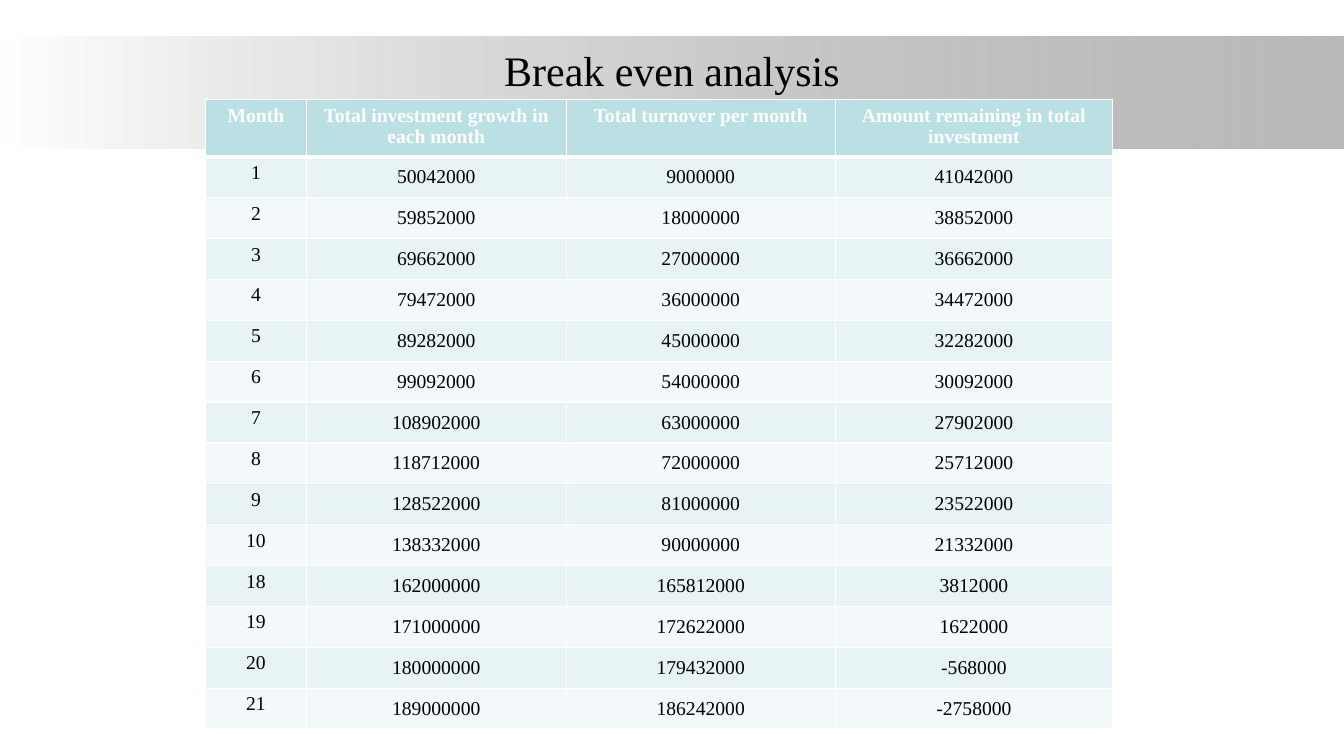
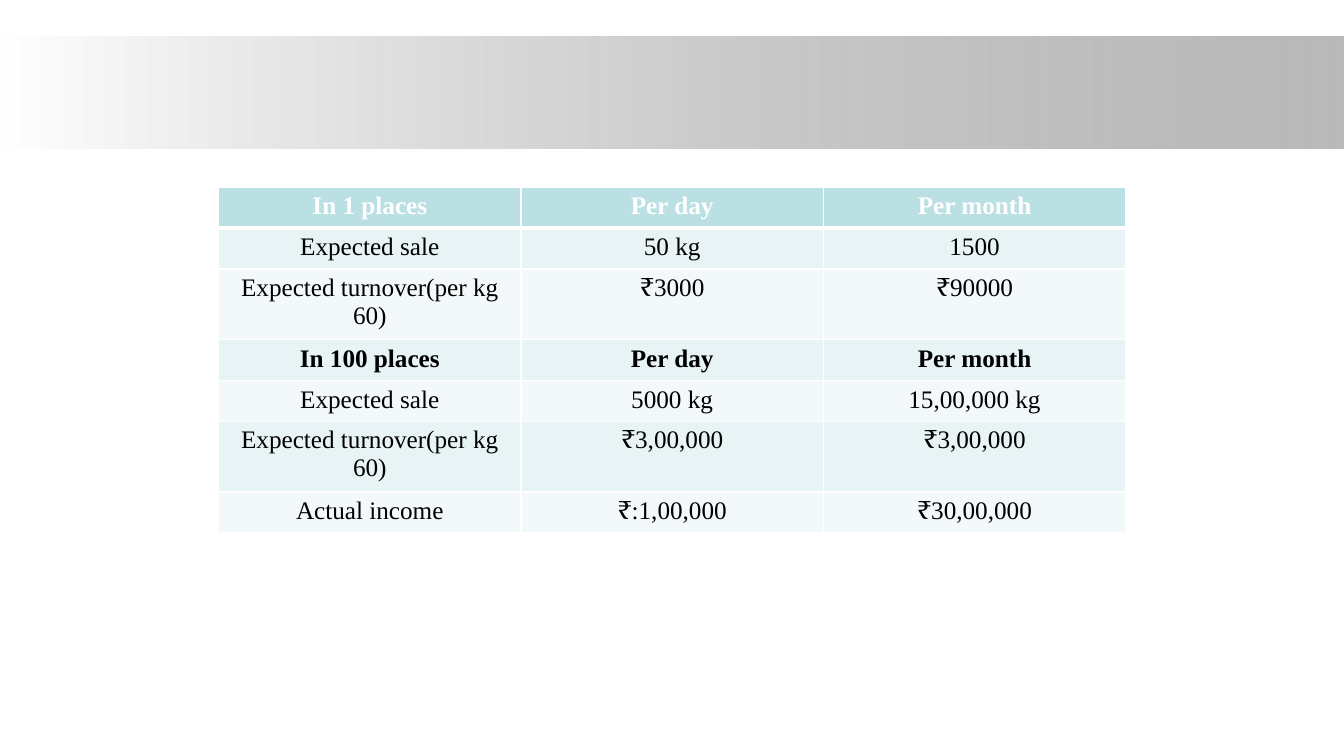
from dataclasses import dataclass

from lxml import etree
from pptx import Presentation
from pptx import util as u
from pptx.dml.color import RGBColor
from pptx.enum import shapes, text
from pptx.oxml.ns import qn


@dataclass(frozen=True)
class Theme:
    font: str = "Times New Roman"
    ink: str = "000000"
    white: str = "FFFFFF"
    band_end: str = "808080"
    band_opacity: int = 54
    header: str = "BBE0E3"
    stripes: tuple = ("E7F3F4", "F3F9FA")
    title_size: int = 30
    rule: int = 1
    header_rule: int = 3


theme = Theme()


def write(frame, words, size, colour, bold=False):
    """Put one centred line of text into a text frame."""
    paragraph = frame.paragraphs[0]
    paragraph.alignment = text.PP_ALIGN.CENTER
    run = paragraph.add_run()
    run.text = words
    run.font.color.rgb = RGBColor.from_string(colour)
    style = {"name": theme.font, "size": u.Pt(size), "bold": bold}
    for key, value in style.items():
        setattr(run.font, key, value)


def rule_cell(cell, widths):
    """Draw white cell borders; widths maps each side (L, R, T, B) to points."""
    properties = cell._tc.get_or_add_tcPr()
    for side, points in widths.items():
        line = etree.SubElement(properties, qn(f"a:ln{side}"), w=str(u.Pt(points)))
        fill = etree.SubElement(line, qn("a:solidFill"))
        etree.SubElement(fill, qn("a:srgbClr"), val=theme.white)


break_even = [
    ("Month", "Total investment growth in each month",
     "Total turnover per month", "Amount remaining in total investment"),
    ("1", "50042000", "9000000", "41042000"),
    ("2", "59852000", "18000000", "38852000"),
    ("3", "69662000", "27000000", "36662000"),
    ("4", "79472000", "36000000", "34472000"),
    ("5", "89282000", "45000000", "32282000"),
    ("6", "99092000", "54000000", "30092000"),
    ("7", "108902000", "63000000", "27902000"),
    ("8", "118712000", "72000000", "25712000"),
    ("9", "128522000", "81000000", "23522000"),
    ("10", "138332000", "90000000", "21332000"),
    ("18", "162000000", "165812000", "3812000"),
    ("19", "171000000", "172622000", "1622000"),
    ("20", "180000000", "179432000", "-568000"),
    ("21", "189000000", "186242000", "-2758000"),
]
expected_sales = [
    ("In 1 places", "Per day", "Per month"),
    ("Expected sale", "50 kg", "1500"),
    ("Expected turnover(per kg 60)", "₹3000", "₹90000"),
    ("In 100 places", "Per day", "Per month"),
    ("Expected sale", "5000 kg", "15,00,000 kg"),
    ("Expected turnover(per kg 60)", "₹3,00,000", "₹3,00,000"),
    ("Actual income", "₹:1,00,000", "₹30,00,000"),
]
pages = [
    {"title": "Break even analysis", "rows": break_even, "left": 5.18, "top": 2.51,
     "columns": (2.54, 6.55, 6.78, 6.99), "size": 14, "bold_rows": {0},
     "centred_figures": True},
    {"title": None, "rows": expected_sales, "left": 5.51, "top": 4.72,
     "columns": (7.62,) * 3, "size": 18, "bold_rows": {0, 3},
     "centred_figures": False},
]
row_height = u.Cm(1.03)

deck = Presentation()
deck.slide_width, deck.slide_height = u.Cm(33.87), u.Cm(19.05)

for page in pages:
    slide = deck.slides.add_slide(deck.slide_layouts[6])

    band = slide.shapes.add_shape(shapes.MSO_SHAPE.RECTANGLE, 0, u.Cm(0.91),
                                  deck.slide_width, u.Cm(2.84))
    band.shadow.inherit = False
    band.line.fill.background()
    band.fill.gradient()
    band.fill.gradient_angle = 0
    for stop, position, colour in zip(band.fill.gradient_stops, (0, 1),
                                      (theme.white, theme.band_end)):
        stop.position = position
        stop.color.rgb = RGBColor.from_string(colour)
    band_end = band.element.xpath(".//a:gs[last()]/a:srgbClr")[0]
    etree.SubElement(band_end, qn("a:alpha"), val=str(theme.band_opacity * 1000))

    if page["title"]:
        title = slide.shapes.add_textbox(u.Cm(5.51), u.Cm(0.97), u.Cm(22.86), u.Cm(1.57))
        title.text_frame.word_wrap = True
        title.text_frame.vertical_anchor = text.MSO_ANCHOR.MIDDLE
        write(title.text_frame, page["title"], theme.title_size, theme.ink)

    rows, columns = page["rows"], page["columns"]
    grid = slide.shapes.add_table(len(rows), len(columns), u.Cm(page["left"]),
                                  u.Cm(page["top"]), u.Cm(sum(columns)),
                                  row_height * len(rows)).table
    for column, width in zip(grid.columns, columns):
        column.width = u.Cm(width)

    for r, row in enumerate(rows):
        grid.rows[r].height = row_height
        is_header = r == 0
        fill = theme.header if is_header else theme.stripes[(r - 1) % 2]
        widths = {"L": theme.rule, "R": theme.rule,
                  "T": theme.header_rule if r == 1 else theme.rule,
                  "B": theme.header_rule if is_header else theme.rule}
        for c, words in enumerate(row):
            cell = grid.cell(r, c)
            rule_cell(cell, widths)
            cell.fill.solid()
            cell.fill.fore_color.rgb = RGBColor.from_string(fill)
            if page["centred_figures"] and not is_header and c > 0:
                cell.vertical_anchor = text.MSO_ANCHOR.MIDDLE
                for side in ("left", "right", "top", "bottom"):
                    setattr(cell, f"margin_{side}", 0)
            write(cell.text_frame, words, page["size"],
                  theme.white if is_header else theme.ink, r in page["bold_rows"])

deck.save("out.pptx")
